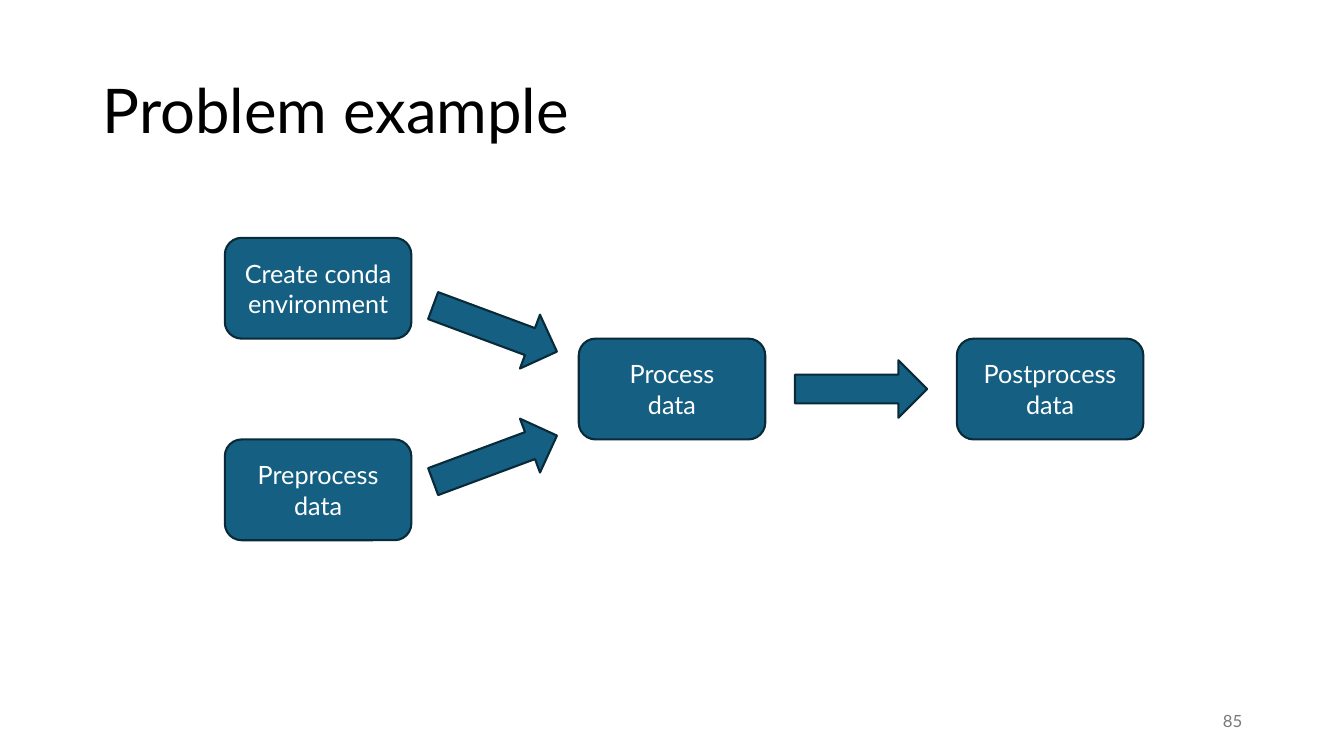
import dataclasses

import pptx
import pptx.dml.color
import pptx.enum.shapes
import pptx.enum.text
import pptx.shapes.autoshape
import pptx.slide
import pptx.text.text
import pptx.util

Inches = pptx.util.Inches
Align = pptx.enum.text.PP_ALIGN
Shape = pptx.enum.shapes.MSO_SHAPE

BLUE = pptx.dml.color.RGBColor(0x15, 0x60, 0x82)
OUTLINE = pptx.dml.color.RGBColor(0x09, 0x2A, 0x39)
WHITE = pptx.dml.color.RGBColor(0xFF, 0xFF, 0xFF)
BLACK = pptx.dml.color.RGBColor(0x00, 0x00, 0x00)
GREY = pptx.dml.color.RGBColor(0x79, 0x79, 0x79)

FONT = "Lato"
COLUMN_CENTRES = (3.155, 6.665, 10.415)
FIRST_ROW_CENTRE = 2.86
ROW_STEP = 1.0
STEP_SIZE = (1.85, 1.0)
ARROW_SIZE = (1.31, 0.57)


@dataclasses.dataclass(frozen=True)
class Step:
    text: str
    column: int
    row: int


@dataclasses.dataclass(frozen=True)
class Arrow:
    """An arrow midway between a column and the next one."""
    column: int
    row: float
    rotation: float = 0


STEPS = (
    Step("Create conda environment", 0, 0),
    Step("Preprocess\vdata", 0, 2),
    Step("Process\vdata", 1, 1),
    Step("Postprocess\vdata", 2, 1),
)
ARROWS = (
    Arrow(1, 1),
    Arrow(0, 0.4, 20.4),
    Arrow(0, 1.69, -20.4),
)


def write(frame: pptx.text.text.TextFrame, text: str, size: float,
          color: pptx.dml.color.RGBColor, align: Align) -> None:
    frame.word_wrap = True
    frame.vertical_anchor = pptx.enum.text.MSO_ANCHOR.MIDDLE
    para = frame.paragraphs[0]
    para.text = text
    para.alignment = align
    para.font.name = FONT
    para.font.size = pptx.util.Pt(size)
    para.font.color.rgb = color


def add_block(page: pptx.slide.Slide, kind: Shape, centre_x: float, row: float,
              size: tuple[float, float]) -> pptx.shapes.autoshape.Shape:
    """Add a filled, outlined shape centred on a grid row."""
    width, height = size
    centre_y = FIRST_ROW_CENTRE + row * ROW_STEP
    block = page.shapes.add_shape(
        kind, Inches(centre_x - width / 2), Inches(centre_y - height / 2),
        Inches(width), Inches(height))
    block.shadow.inherit = False
    block.fill.solid()
    block.fill.fore_color.rgb = BLUE
    block.line.color.rgb = OUTLINE
    block.line.width = pptx.util.Pt(1.5)
    return block


def add_step(page: pptx.slide.Slide, step: Step) -> None:
    box = add_block(page, Shape.ROUNDED_RECTANGLE, COLUMN_CENTRES[step.column],
                    step.row, STEP_SIZE)
    write(box.text_frame, step.text, 18, WHITE, Align.CENTER)


def add_arrow(page: pptx.slide.Slide, arrow: Arrow) -> None:
    centre_x = sum(COLUMN_CENTRES[arrow.column:arrow.column + 2]) / 2
    block = add_block(page, Shape.RIGHT_ARROW, centre_x, arrow.row, ARROW_SIZE)
    block.rotation = arrow.rotation


def add_title(page: pptx.slide.Slide, text: str) -> None:
    title = page.shapes.title
    title.left, title.top = Inches(0.92), Inches(0.4)
    title.width, title.height = Inches(11.5), Inches(1.45)
    write(title.text_frame, text, 44, BLACK, Align.LEFT)
    title.text_frame.paragraphs[0].line_spacing = 0.9


def add_page_number(page: pptx.slide.Slide, number: str) -> None:
    box = page.shapes.add_textbox(Inches(9.42), Inches(6.95), Inches(3), Inches(0.4))
    write(box.text_frame, number, 12, GREY, Align.RIGHT)


def main() -> None:
    deck = pptx.Presentation()
    deck.slide_width, deck.slide_height = Inches(13.33), Inches(7.5)
    page = deck.slides.add_slide(deck.slide_layouts.get_by_name("Title Only"))
    add_title(page, "Problem example")
    add_page_number(page, "85")
    for step in STEPS:
        add_step(page, step)
    for arrow in ARROWS:
        add_arrow(page, arrow)
    deck.save("out.pptx")


if __name__ == "__main__":
    main()
